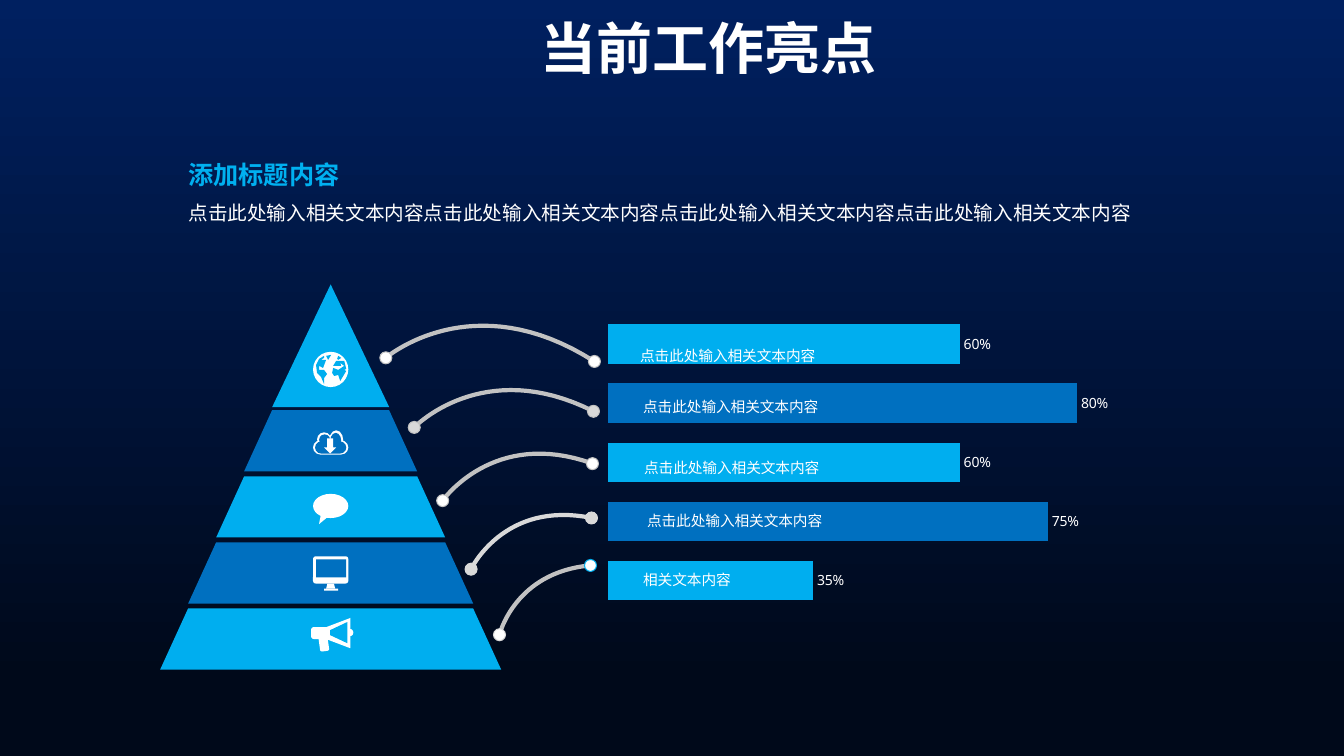
from collections import namedtuple

from lxml import etree
from pptx import Presentation
from pptx.chart.data import CategoryChartData
from pptx.dml.color import RGBColor
from pptx.enum.chart import XL_CHART_TYPE, XL_LABEL_POSITION
from pptx.enum.shapes import MSO_SHAPE as SHAPE
from pptx.enum.text import MSO_AUTO_SIZE, PP_ALIGN
from pptx.util import Pt

FONT = "Noto Sans"
WHITE = RGBColor(0xFF, 0xFF, 0xFF)
CYAN = RGBColor(0x00, 0xAE, 0xEF)
SKY = RGBColor(0x00, 0xB0, 0xF0)
BLUE = RGBColor(0x00, 0x70, 0xC0)
NAVY = RGBColor(0x00, 0x20, 0x60)
NIGHT = RGBColor(0x00, 0x09, 0x1A)
SILVER = RGBColor(0xC2, 0xC2, 0xC2)
PALE = RGBColor(0xD9, 0xD9, 0xD9)

TITLE = "当前工作亮点"
HEADING = "添加标题内容"
PHRASE = "点击此处输入相关文本内容"
SHORT_PHRASE = "相关文本内容"

Level = namedtuple("Level", "icon icon_top start_y end_y line start_rim end_rim "
                            "label_x label_y label share")
LEVELS = [
    Level("globe", 251.3, 255.6, 258.2, SILVER, SILVER, SILVER, 457.2, 241.6, PHRASE, 0.6),
    Level("cloud", 307.4, 305.3, 293.8, SILVER, SILVER, SILVER, 459.4, 277.9, PHRASE, 0.8),
    Level("bubble", 352.8, 357.6, 331.2, SILVER, SILVER, SILVER, 460.1, 321.1, PHRASE, 0.6),
    Level("monitor", 397.4, 406.6, 370, PALE, PALE, PALE, 462.2, 359.3, PHRASE, 0.75),
    Level("megaphone", 441.4, 453.4, 403.9, SILVER, PALE, SKY, 459.4, 401.3, SHORT_PHRASE, 0.35),
]

APEX_X, APEX_Y = 236.2, 203.2
TIP_H, TIP_HALF = 87.6, 41.8
TIER_H, TIER_GAP, HALF_STEP = 43.7, 3.5, 20

ARC_START_X, ARC_START_STEP = 275.6, 20.3
ARC_END_X, ARC_END_STEP = 424.6, -0.7
ARC_BEND, ARC_BEND_STEP = (337.5, 202.3), (7.5, 51.6)
ARC_STEPS, DOT = 32, 8.6

ICON_UNIT, ICON_W = 0.72, 35
AMERICAS = [(14, 22), (11, 26), (11, 32), (8, 25), (4, 21), (3, 13), (6, 7), (11, 4),
            (11, 6), (8, 8), (13, 8), (10, 16), (6, 14), (6, 18), (11, 18)]
ARCTIC = [(13, 4), (18, 3), (15, 8)]
AFRICA = [(31, 18), (33, 19), (27, 29), (25, 23), (21, 24), (19, 21), (20, 16),
          (25, 18), (28, 16), (31, 14), (27, 11), (28, 14), (20, 14), (23, 9),
          (31, 9), (33, 17)]
EUROPE = [(24, 7), (25, 4), (28, 6), (25, 8)]

Part = namedtuple("Part", "kind left top width height white adjust turn",
                  defaults=(True, (), 0))
ICONS = {
    "globe": [Part(SHAPE.OVAL, 0, 0, 35, 35)],
    "cloud": [
        Part(SHAPE.OVAL, 4, 2, 14, 14),
        Part(SHAPE.OVAL, 16, 0, 14, 20),
        Part(SHAPE.ROUNDED_RECTANGLE, 0, 10, 35, 14, True, (0.5,)),
        Part(SHAPE.OVAL, 6, 4, 11, 11, False),
        Part(SHAPE.OVAL, 17, 2.5, 11, 16, False),
        Part(SHAPE.ROUNDED_RECTANGLE, 2, 11, 31, 12, False, (0.5,)),
        Part(SHAPE.DOWN_ARROW, 11, 8, 12, 15, True, (0.5, 0.5)),
    ],
    "bubble": [Part(SHAPE.OVAL_CALLOUT, 0, 0, 35, 24, True, (-0.33, 0.75))],
    "monitor": [
        Part(SHAPE.ROUNDED_RECTANGLE, 0, 0, 35, 27, True, (0.1,)),
        Part(SHAPE.RECTANGLE, 3, 3, 30, 18, False),
        Part(SHAPE.TRAPEZOID, 13, 27, 9, 5, True, (0.25,)),
        Part(SHAPE.RECTANGLE, 11, 32, 14, 2),
    ],
    "megaphone": [
        Part(SHAPE.ROUNDED_RECTANGLE, 8, 15, 9, 18, True, (0.2,), -8),
        Part(SHAPE.ROUNDED_RECTANGLE, 0, 9, 18, 12, True, (0.25,)),
        Part(SHAPE.OVAL, 36, 11, 6, 7),
        Part(SHAPE.TRAPEZOID, 12, 3, 30, 24, True, (0.38,), 270),
        Part(SHAPE.TRAPEZOID, 17, 6, 21, 17, False, (0.47,), 270),
    ],
}
LANDS = {"globe": [AMERICAS, ARCTIC, AFRICA, EUROPE]}
ICON_WIDTHS = {"megaphone": 39}


def paint(sp, color):
    sp.shadow.inherit = False
    sp.fill.solid()
    sp.fill.fore_color.rgb = color
    sp.line.fill.background()


def add_outline(points, closed=True):
    pts = [(Pt(x), Pt(y)) for x, y in points]
    fb = shapes.build_freeform(*pts[0])
    fb.add_line_segments(pts[1:], close=closed)
    return fb.convert_to_shape()


def add_preset(kind, left, top, width, height, color):
    sp = shapes.add_shape(kind, Pt(left), Pt(top), Pt(width), Pt(height))
    paint(sp, color)
    return sp


def add_tier(i, color):
    first_step = TIP_H + TIER_GAP - 1.3
    top = APEX_Y + first_step + (i - 1) * (TIER_H + TIER_GAP) if i else APEX_Y
    bottom = top + (TIER_H if i else TIP_H)
    lower = TIP_HALF + i * HALF_STEP
    upper = lower - HALF_STEP if i else 0
    roof = [(APEX_X - upper, top), (APEX_X + upper, top)] if i else [(APEX_X, top)]
    base = [(APEX_X + lower, bottom), (APEX_X - lower, bottom)]
    paint(add_outline(roof + base), color)


def add_icon(name, top, tier_color):
    left = APEX_X - ICON_WIDTHS.get(name, ICON_W) * ICON_UNIT / 2
    for part in ICONS[name]:
        sp = add_preset(part.kind, left + part.left * ICON_UNIT, top + part.top * ICON_UNIT,
                        part.width * ICON_UNIT, part.height * ICON_UNIT,
                        WHITE if part.white else tier_color)
        sp.rotation = part.turn
        for k, value in enumerate(part.adjust):
            sp.adjustments[k] = value
    for land in LANDS.get(name, []):
        paint(add_outline([(left + x * ICON_UNIT, top + y * ICON_UNIT) for x, y in land]),
              tier_color)


def bend(start, control, end):
    for k in range(ARC_STEPS + 1):
        t = k / ARC_STEPS
        u = 1 - t
        yield tuple((u**3 + 3 * u * u * t) * a + 3 * u * t * t * b + t**3 * c
                    for a, b, c in zip(start, control, end))


def add_arc(i, level, dot_color):
    start = (ARC_START_X + i * ARC_START_STEP, level.start_y)
    end = (ARC_END_X + i * ARC_END_STEP, level.end_y)
    control = [base + i * step for base, step in zip(ARC_BEND, ARC_BEND_STEP)]
    arc = add_outline(bend(start, control, end), closed=False)
    arc.shadow.inherit = False
    arc.fill.background()
    arc.line.color.rgb, arc.line.width = level.line, Pt(3)
    for (x, y), rim in ((start, level.start_rim), (end, level.end_rim)):
        dot = add_preset(SHAPE.OVAL, x - DOT / 2, y - DOT / 2, DOT, DOT, dot_color)
        dot.line.color.rgb, dot.line.width = rim, Pt(0.75)


def add_text(left, top, width, height, lines, inset=(0, 0), spacing=1.5,
             align=PP_ALIGN.LEFT):
    tf = shapes.add_textbox(Pt(left), Pt(top), Pt(width), Pt(height)).text_frame
    tf.word_wrap = True
    tf.auto_size = MSO_AUTO_SIZE.SHAPE_TO_FIT_TEXT
    tf.margin_left = tf.margin_right = Pt(inset[0])
    tf.margin_top = tf.margin_bottom = Pt(inset[1])
    tf.text = "\n".join(line[0] for line in lines)
    for p, (_, size, color, bold) in zip(tf.paragraphs, lines):
        p.alignment, p.line_spacing = align, spacing
        font = p.runs[0].font
        font.name, font.size, font.bold = FONT, Pt(size), bold
        font.color.rgb = color


def add_bars(left, top, width, height):
    data = CategoryChartData(number_format="0%")
    data.categories = ["1"]
    for i, level in enumerate(reversed(LEVELS), 1):
        data.add_series(f"Series {i}", [level.share])
    chart = shapes.add_chart(XL_CHART_TYPE.BAR_CLUSTERED, Pt(left), Pt(top), Pt(width),
                             Pt(height), data).chart
    chart.has_legend = chart.has_title = False
    chart.font.name, chart.font.size = FONT, Pt(10)
    chart.font.color.rgb = WHITE
    chart.category_axis.visible = chart.value_axis.visible = False
    chart.value_axis.has_major_gridlines = False
    chart.value_axis.minimum_scale, chart.value_axis.maximum_scale = 0, 0.9
    plot = chart.plots[0]
    plot.gap_width, plot.overlap, plot.vary_by_categories = 110, -50, False
    for i, series in enumerate(plot.series):
        series.format.fill.solid()
        series.format.fill.fore_color.rgb = BLUE if i % 2 else CYAN
        labels = series.data_labels
        labels.show_value, labels.position = True, XL_LABEL_POSITION.OUTSIDE_END
        labels.number_format, labels.number_format_is_linked = "0%", False
    area = chart._chartSpace.chart.plotArea
    c = "{%s}" % area.nsmap["c"]
    for old in area.findall(c + "layout"):
        area.remove(old)
    layout = etree.Element(c + "layout")
    manual = etree.SubElement(layout, c + "manualLayout")
    for tag, val in (("layoutTarget", "inner"), ("xMode", "edge"), ("yMode", "edge"),
                     ("x", "0.02"), ("y", "0.02"), ("w", "0.96"), ("h", "0.96")):
        etree.SubElement(manual, c + tag, val=val)
    area.insert(0, layout)


prs = Presentation()
prs.slide_width, prs.slide_height = Pt(960), Pt(540)
s = prs.slides.add_slide(prs.slide_layouts[6])
shapes = s.shapes

bg = s.background.fill
bg.gradient()
bg.gradient_angle = 270
for stop, position, color in zip(bg.gradient_stops, (0, 0.9), (NAVY, NIGHT)):
    stop.position, stop.color.rgb = position, color

add_bars(426.2, 211.4, 393.1, 237.6)
for i, level in enumerate(LEVELS):
    tier_color, dot_color = (BLUE, PALE) if i % 2 else (CYAN, WHITE)
    add_tier(i, tier_color)
    add_icon(level.icon, level.icon_top, tier_color)
    add_arc(i, level, dot_color)
    add_text(level.label_x, level.label_y, 187.9, 17.3, [(level.label, 10.5, WHITE, False)])

add_text(298.8, 5.8, 414, 55.4, [(TITLE, 40, WHITE, True)], (7.2, 3.6), 1, PP_ALIGN.CENTER)
add_text(134.6, 103, 777.6, 55.4,
         [(HEADING, 18, SKY, True), (PHRASE * 4, 14, WHITE, False)])

prs.save("out.pptx")
